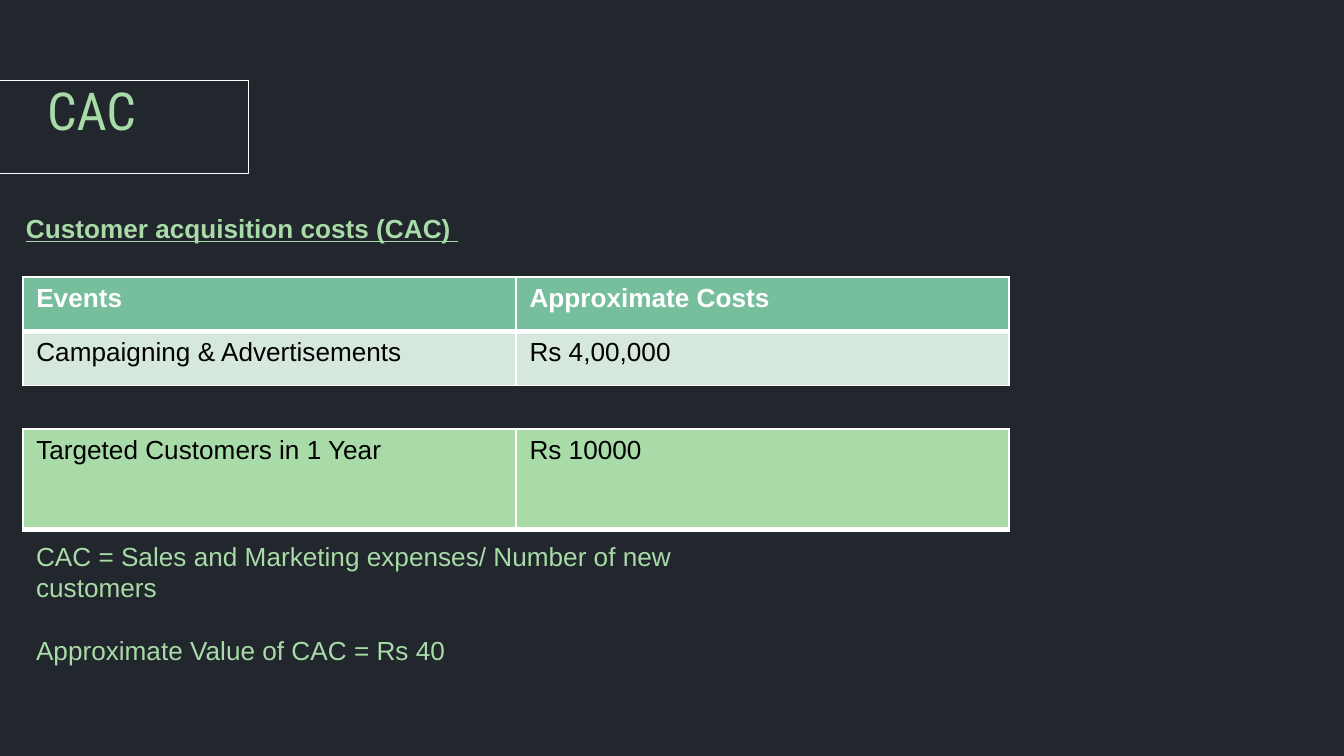
from lxml import etree
from pptx import Presentation
from pptx import util as u
from pptx.dml import color
from pptx.enum import shapes, text
from pptx.oxml import ns

PX = 4572
MINT, WHITE, BLACK = "A8DBA7", "FFFFFF", "000000"


def px(*lengths):
    return [u.Emu(length * PX) for length in lengths]


def rgb(value):
    return color.RGBColor.from_string(value)


def format_para(para, ink, size=14, bold=False, underline=False, face="Arial"):
    for span in para.runs:
        span.font.name = face
        span.font.size = u.Pt(size)
        span.font.bold = bold
        span.font.underline = underline
        span.font.color.rgb = rgb(ink)


def add_title(page, left, top, width, height):
    frame = page.shapes.add_shape(
        shapes.MSO_SHAPE.RECTANGLE, *px(left, top, width, height))
    frame.shadow.inherit = False
    frame.fill.background()
    frame.line.color.rgb = rgb(WHITE)
    frame.line.width = u.Pt(0.75)

    title = page.shapes.title
    title.left, title.top, title.width, title.height = px(
        left + 70, top - 60, 402, 206)
    page.shapes._spTree.append(title._element)
    body = title.text_frame
    body.text = "CAC"
    body.auto_size = text.MSO_AUTO_SIZE.NONE
    body.vertical_anchor = text.MSO_ANCHOR.MIDDLE
    body.margin_left, body.margin_top, body.margin_right, body.margin_bottom = px(
        20, 20, 20, 20)
    body.paragraphs[0].alignment = text.PP_ALIGN.LEFT
    format_para(body.paragraphs[0], MINT, 28, face="Roboto Condensed")


def add_borders(cell, top, bottom):
    properties = cell._tc.get_or_add_tcPr()
    widths = {"lnL": 1, "lnR": 1, "lnT": top, "lnB": bottom}
    for index, (side, width) in enumerate(widths.items()):
        line = etree.Element(ns.qn(f"a:{side}"), w=str(u.Pt(width)))
        fill = etree.SubElement(line, ns.qn("a:solidFill"))
        etree.SubElement(fill, ns.qn("a:srgbClr"), val=WHITE)
        properties.insert(index, line)


def add_cost_table(page, left, top, width, row_height, rows):
    graphic = page.shapes.add_table(
        len(rows), 2, *px(left, top, width, row_height * len(rows)))
    table = graphic.table
    table.first_row = table.horz_banding = False
    for row, (words, fill, ink, bold, edges) in zip(table.rows, rows):
        row.height = px(row_height)[0]
        for cell, word in zip(row.cells, words):
            cell.text_frame.text = word
            format_para(cell.text_frame.paragraphs[0], ink, bold=bold)
            cell.fill.solid()
            cell.fill.fore_color.rgb = rgb(fill)
            add_borders(cell, *edges)


def add_text(page, left, top, width, height, lines, wrap=True, gap=0, **style):
    box = page.shapes.add_textbox(*px(left, top, width, height))
    body = box.text_frame
    body.word_wrap = wrap
    body.auto_size = text.MSO_AUTO_SIZE.SHAPE_TO_FIT_TEXT
    body.text = "\n".join(lines)
    for para in body.paragraphs:
        format_para(para, MINT, **style)
    for para in body.paragraphs[1:]:
        para.space_before = u.Pt(gap)


def build_cac_page(deck):
    page = deck.slides.add_slide(deck.slide_layouts[5])
    page.background.fill.solid()
    page.background.fill.fore_color.rgb = rgb("22262D")

    add_title(page, -20, 120, 390, 138)
    add_cost_table(page, 34, 412, 1468, 81, [
        (("Events", "Approximate Costs"), "77BE9C", WHITE, True, (1, 3)),
        (("Campaigning & Advertisements", "Rs 4,00,000"),
         "D6E8DE", BLACK, False, (3, 1)),
    ])
    add_cost_table(page, 34, 638, 1468, 150, [
        (("Targeted Customers in 1 Year", "Rs 10000"),
         MINT, BLACK, False, (1, 3)),
    ])
    add_text(page, 19, 306, 690, 68, ["Customer acquisition costs (CAC) "],
             wrap=False, bold=True, underline=True)
    add_text(page, 34, 794, 1000, 208, [
        "CAC = Sales and Marketing expenses/ Number of new customers",
        "Approximate Value of CAC = Rs 40",
    ], gap=17)


def main():
    deck = Presentation()
    deck.slide_width, deck.slide_height = px(2000, 1125)
    build_cac_page(deck)
    deck.save("out.pptx")


if __name__ == "__main__":
    main()
